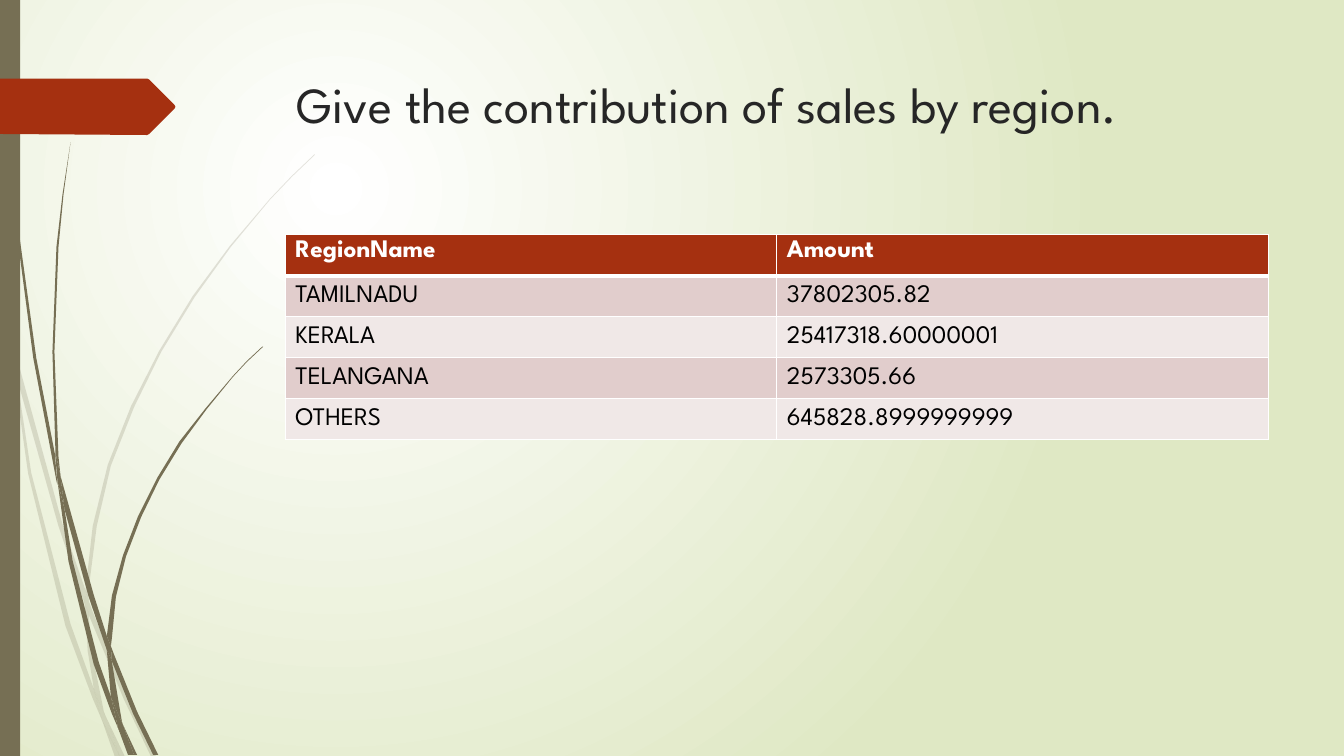
from lxml import etree
from pptx import Presentation
from pptx import util as u
from pptx.dml.color import RGBColor
from pptx.enum import shapes, text
from pptx.oxml import ns

COLORS = {
    "glow": "FFFFFF", "field": "DFE8C4", "stem": "766F54", "accent": "A53010",
    "title": "262626", "body": "000000", "white": "FFFFFF",
    "odd_band": "E1CDCC", "even_band": "F0E8E7",
}
FONT = "League Spartan"
SLIDE_SIZE = (13.33, 7.5)

PALE_BLADES = [
    [(.11, 3.5), (.09, 3.22), (0, 2.82), (0, 2.99), (.1, 3.44)],
    [(.58, 5.22), (.84, 5.99), (.85, 5.86), (.62, 5.2), (.14, 3.45), (.17, 3.76)],
    [(.92, 6.07), (.88, 5.96), (.88, 6.1), (1.23, 6.94), (1.5, 7.51), (1.55, 7.51),
     (1.27, 6.92)],
    [(1.19, 7.51), (1.24, 7.51), (1.05, 7.11)],
    [(.93, 6.83), (.7, 6.19), (.31, 4.69), (.17, 3.76), (.11, 3.5), (.28, 4.7),
     (.65, 6.21), (.92, 6.93), (1.01, 7.14), (.99, 7.07)],
    [(.84, 5.99), (.87, 6.46), (.93, 6.83), (.96, 6.92), (1.05, 7.11), (1.03, 7.06),
     (.91, 6.46), (.88, 6.1), (.88, 6.08)],
    [(.88, 5.84), (.96, 5.22), (1.1, 4.62), (1.33, 4.04), (1.6, 3.49), (1.93, 2.95),
     (2.29, 2.45), (2.68, 1.98), (2.9, 1.75), (3.12, 1.54), (3.12, 1.53), (2.89, 1.75),
     (2.68, 1.97), (2.28, 2.44), (1.91, 2.94), (1.58, 3.48), (1.3, 4.03), (1.07, 4.61),
     (.92, 5.22), (.85, 5.84), (.85, 5.86), (.88, 5.96)],
    [(1.01, 7.14), (1.14, 7.51), (1.19, 7.51)],
    [(.88, 6.08), (.88, 6.1), (.88, 5.96), (.85, 5.86), (.84, 5.99)],
    [(.96, 6.92), (.93, 6.83), (.99, 7.07), (1.01, 7.14), (1.19, 7.51), (1.05, 7.11)],
]
DARK_BLADES = [
    [(.07, 1.1), (.17, 2.33), (.33, 3.55), (.56, 4.77), (.57, 4.81), (.55, 4.57),
     (.55, 4.53), (.36, 3.55), (.19, 2.32), (.08, 1.09), (.05, .48), (.04, 0),
     (.03, 0), (.04, .48)],
    [(.88, 5.92), (1.06, 6.45), (1.06, 6.31), (.93, 5.9), (.6, 4.72), (.64, 5.05)],
    [(1.13, 6.49), (1.1, 6.41), (1.11, 6.56), (1.32, 7.08), (1.52, 7.49), (1.57, 7.49),
     (1.36, 7.06)],
    [(1.1, 6.91), (.98, 6.57), (.72, 5.56), (.64, 5.05), (.57, 4.77), (.68, 5.57),
     (.93, 6.59), (1.11, 7.08), (1.17, 7.22), (1.16, 7.17)],
    [(.6, 4.72), (.58, 4.53), (.54, 3.49), (.58, 2.45), (.63, 1.93), (.7, 1.41),
     (.62, 1.93), (.56, 2.45), (.52, 3.49), (.55, 4.49)],
    [(1.33, 7.49), (1.36, 7.49), (1.22, 7.19)],
    [(.57, 4.77), (.64, 5.05), (.6, 4.72), (.55, 4.49), (.55, 4.53)],
    [(1.11, 6.33), (1.15, 5.92), (1.25, 5.52), (1.4, 5.13), (1.58, 4.76), (1.8, 4.4),
     (2.05, 4.06), (2.31, 3.74), (2.45, 3.59), (2.61, 3.44), (2.6, 3.44), (2.45, 3.58),
     (2.31, 3.73), (2.04, 4.05), (1.78, 4.38), (1.56, 4.74), (1.37, 5.12), (1.22, 5.51),
     (1.11, 5.91), (1.06, 6.31), (1.1, 6.41)],
    [(1.17, 7.22), (1.27, 7.49), (1.31, 7.49)],
    [(1.06, 6.45), (1.1, 6.91), (1.16, 7.06), (1.22, 7.19), (1.21, 7.16), (1.11, 6.56),
     (1.09, 6.51)],
    [(1.06, 6.45), (1.09, 6.51), (1.11, 6.56), (1.1, 6.41), (1.06, 6.31)],
    [(1.16, 7.06), (1.1, 6.91), (1.16, 7.17), (1.17, 7.22), (1.3, 7.49), (1.33, 7.49),
     (1.22, 7.19)],
]
TAG = [(0, 0), (1.46, 0), (1.48, .01), (1.73, .26), (1.74, .28), (1.73, .3),
       (1.48, .55), (1.46, .56), (0, .55)]
SALES = [
    ("RegionName", "Amount"),
    ("TAMILNADU", "37802305.82"),
    ("KERALA", "25417318.60000001"),
    ("TELANGANA", "2573305.66"),
    ("OTHERS", "645828.8999999999"),
]


def rgb(name):
    return RGBColor.from_string(COLORS[name])


def write(frame, words, size=18, color="body", bold=False, anchor=text.MSO_ANCHOR.TOP):
    frame.word_wrap = True
    frame.vertical_anchor = anchor
    paragraph = frame.paragraphs[0]
    paragraph.alignment = text.PP_ALIGN.LEFT
    run = paragraph.add_run()
    run.text = words
    run.font.name = FONT
    run.font.size = u.Pt(size)
    run.font.bold = bold
    run.font.color.rgb = rgb(color)


def paint(shape, color, opacity=100):
    shape.shadow.inherit = False
    shape.line.fill.background()
    shape.fill.solid()
    shape.fill.fore_color.rgb = rgb(color)
    if opacity < 100:
        tint = shape.fill._xPr.find(".//" + ns.qn("a:srgbClr"))
        etree.SubElement(tint, ns.qn("a:alpha"), val=str(opacity * 1000))


def outline(slide, left, top, points, color, opacity=100):
    corners = [(u.Inches(left + x), u.Inches(top + y)) for x, y in points]
    builder = slide.shapes.build_freeform(*corners[0])
    builder.add_line_segments(corners[1:], close=True)
    paint(builder.convert_to_shape(), color, opacity)


def add_backdrop(slide):
    fill = slide.background.fill
    fill.gradient()
    for stop, color in zip(fill.gradient_stops, ("glow", "field")):
        stop.color.rgb = rgb(color)
    gradient = next(slide.element.iter(ns.qn("a:gradFill")))
    gradient.remove(gradient.find(ns.qn("a:lin")))
    circle = etree.SubElement(gradient, ns.qn("a:path"), {"path": "circle"})
    etree.SubElement(circle, ns.qn("a:fillToRect"),
                     l="50000", t="50000", r="100000", b="100000")


def add_side_decoration(slide, left, top, width, height):
    for blades, opacity in ((PALE_BLADES, 20), (DARK_BLADES, 100)):
        for blade in blades:
            outline(slide, left, top, blade, "stem", opacity)
    edge = slide.shapes.add_shape(shapes.MSO_SHAPE.RECTANGLE,
                                  *map(u.Inches, (left, top, width, height)))
    paint(edge, "stem")
    outline(slide, left, top + 0.78, TAG, "accent")


def add_title(slide, left, top, width, height):
    title = slide.shapes.title
    title.left, title.top, title.width, title.height = map(
        u.Inches, (left, top, width, height))
    title.text_frame.auto_size = text.MSO_AUTO_SIZE.NONE
    write(title.text_frame, "Give the contribution of sales by region.",
          size=36, color="title")


def add_borders(cell, **widths):
    properties = cell._tc.get_or_add_tcPr()
    for place, (side, points) in enumerate(widths.items()):
        border = etree.Element(ns.qn("a:ln" + side), w=str(u.Pt(points)))
        solid = etree.SubElement(border, ns.qn("a:solidFill"))
        etree.SubElement(solid, ns.qn("a:srgbClr"), val=COLORS["white"])
        properties.insert(place, border)


def add_sales_table(slide, left, top, width, height):
    table = slide.shapes.add_table(len(SALES), len(SALES[0]),
                                   *map(u.Inches, (left, top, width, height))).table
    for r, record in enumerate(SALES):
        header = r == 0
        band = "accent" if header else "odd_band" if r % 2 else "even_band"
        for c, value in enumerate(record):
            cell = table.cell(r, c)
            cell.fill.solid()
            cell.fill.fore_color.rgb = rgb(band)
            write(cell.text_frame, value, color="white" if header else "body", bold=header)
            cell.vertical_anchor = (text.MSO_ANCHOR.TOP if header
                                    else text.MSO_ANCHOR.MIDDLE)
            add_borders(cell, L=1, R=1, T=3 if r == 1 else 1, B=3 if header else 1)


def main():
    deck = Presentation()
    deck.slide_width, deck.slide_height = map(u.Inches, SLIDE_SIZE)
    slide = deck.slides.add_slide(deck.slide_layouts[5])
    add_backdrop(slide)
    add_side_decoration(slide, 0, 0, 0.2, SLIDE_SIZE[1])
    add_title(slide, 2.84, 0.68, 9.75, 1.4)
    add_sales_table(slide, 2.83, 2.33, 9.75, 2.03)
    deck.save("out.pptx")


if __name__ == "__main__":
    main()
